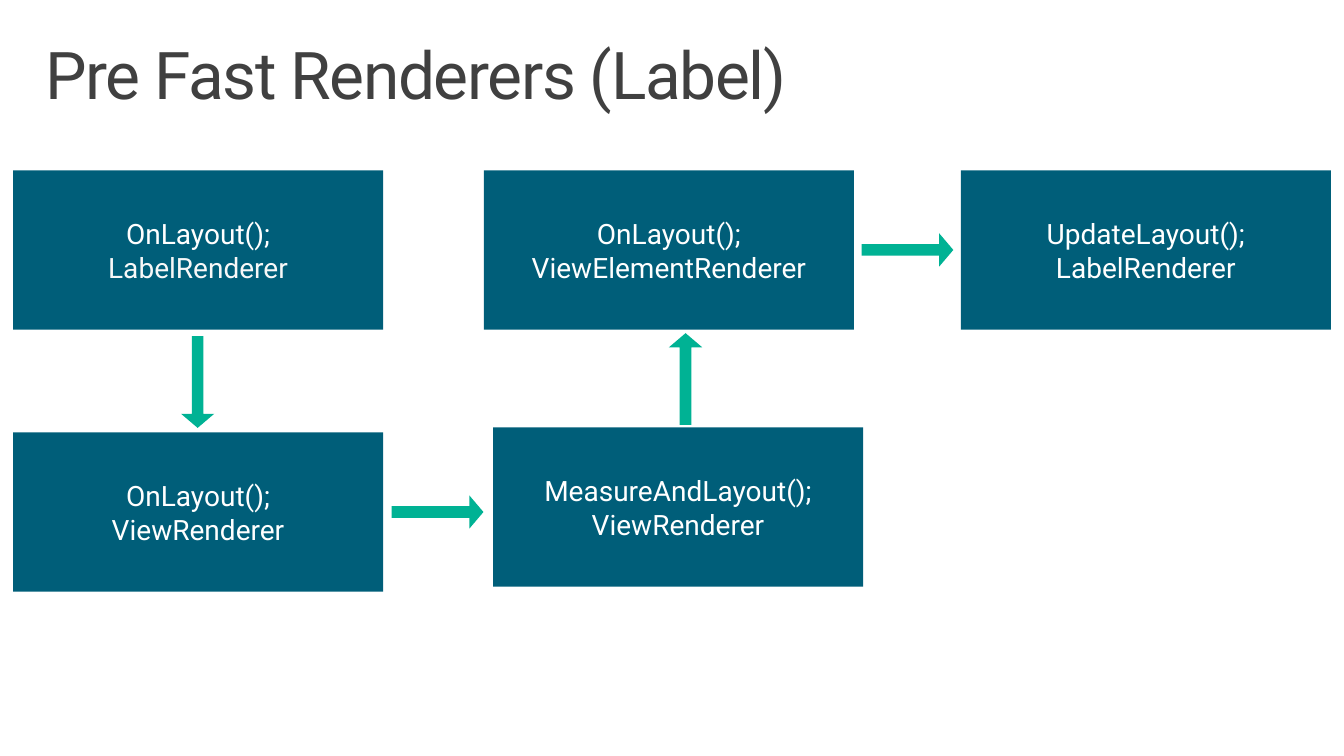
from pptx import Presentation
from pptx.dml.color import RGBColor
from pptx.enum.shapes import MSO_SHAPE as Shape
from pptx.enum.text import MSO_ANCHOR as Anchor, MSO_AUTO_SIZE as AutoSize, PP_ALIGN as Align
from pptx.util import Inches, Pt

FONT = "Roboto"
BOX_WIDTH, BOX_HEIGHT = 3.67, 1.58
ARROW_WIDTH, ARROW_LENGTH = 0.33, 0.91
LEFT, MIDDLE, RIGHT = 0.13, 4.8, 9.53
TOP, BOTTOM = 1.69, 4.29


def add_filled(kind, left, top, width, height, color):
    shape = page.shapes.add_shape(
        kind, Inches(left), Inches(top), Inches(width), Inches(height))
    shape.shadow.inherit = False
    shape.fill.solid()
    shape.fill.fore_color.rgb = RGBColor.from_string(color)
    shape.line.fill.background()
    return shape


def add_span(para, text, size, color):
    span = para.add_run()
    span.text = text
    span.font.name = FONT
    span.font.size = Pt(size)
    span.font.color.rgb = RGBColor.from_string(color)
    return span


deck = Presentation()
deck.slide_width, deck.slide_height = Inches(13.33), Inches(7.5)
page = deck.slides.add_slide(deck.slide_layouts[5])

title = page.shapes.title
title.left, title.top = Inches(0.29), Inches(0.32)
title.width, title.height = Inches(12.75), Inches(0.98)
frame = title.text_frame
frame.word_wrap = True
frame.auto_size = AutoSize.NONE
frame.vertical_anchor = Anchor.TOP
frame.margin_left = frame.margin_right = Inches(0.16)
frame.margin_top = frame.margin_bottom = Inches(0.1)
para = frame.paragraphs[0]
para.alignment = Align.LEFT
para.line_spacing = 0.9
span = add_span(para, "Pre Fast Renderers (Label)", 47, "404040")
span.font._element.set("spc", "-100")

# Left, top, method, class that runs it and colour of the class name
calls = [
    (LEFT, TOP, "OnLayout();", "LabelRenderer", "F8F8F8"),
    (LEFT, BOTTOM, "OnLayout();", "ViewRenderer", "FFFFFF"),
    (MIDDLE + 0.09, BOTTOM - 0.05, "MeasureAndLayout();", "ViewRenderer", "FFFFFF"),
    (MIDDLE, TOP, "OnLayout();", "ViewElementRenderer", "FFFFFF"),
    (RIGHT, TOP, "UpdateLayout();", "LabelRenderer", "FFFFFF"),
]
for left, top, method, renderer, renderer_color in calls:
    box = add_filled(Shape.RECTANGLE, left, top, BOX_WIDTH, BOX_HEIGHT, "005E79")
    frame = box.text_frame
    frame.word_wrap = True
    frame.vertical_anchor = Anchor.MIDDLE
    frame.margin_left = frame.margin_right = 0
    frame.margin_top = frame.margin_bottom = Inches(0.05)
    method_para, renderer_para = frame.paragraphs[0], frame.add_paragraph()
    method_para.alignment = renderer_para.alignment = Align.CENTER
    add_span(method_para, method, 20, "FFFFFF")
    add_span(renderer_para, renderer, 20, renderer_color)

# Centre of each arrow and its turn from pointing up
for center_x, center_y, turn in [
    (1.96, 3.79, 180),
    (4.34, 5.08, 90),
    (6.8, 3.76, 0),
    (9.0, 2.48, 90),
]:
    arrow = add_filled(
        Shape.UP_ARROW, center_x - ARROW_WIDTH / 2, center_y - ARROW_LENGTH / 2,
        ARROW_WIDTH, ARROW_LENGTH, "00B294")
    arrow.adjustments[0] = 0.35
    arrow.adjustments[1] = 0.425
    arrow.rotation = turn

deck.save("out.pptx")
